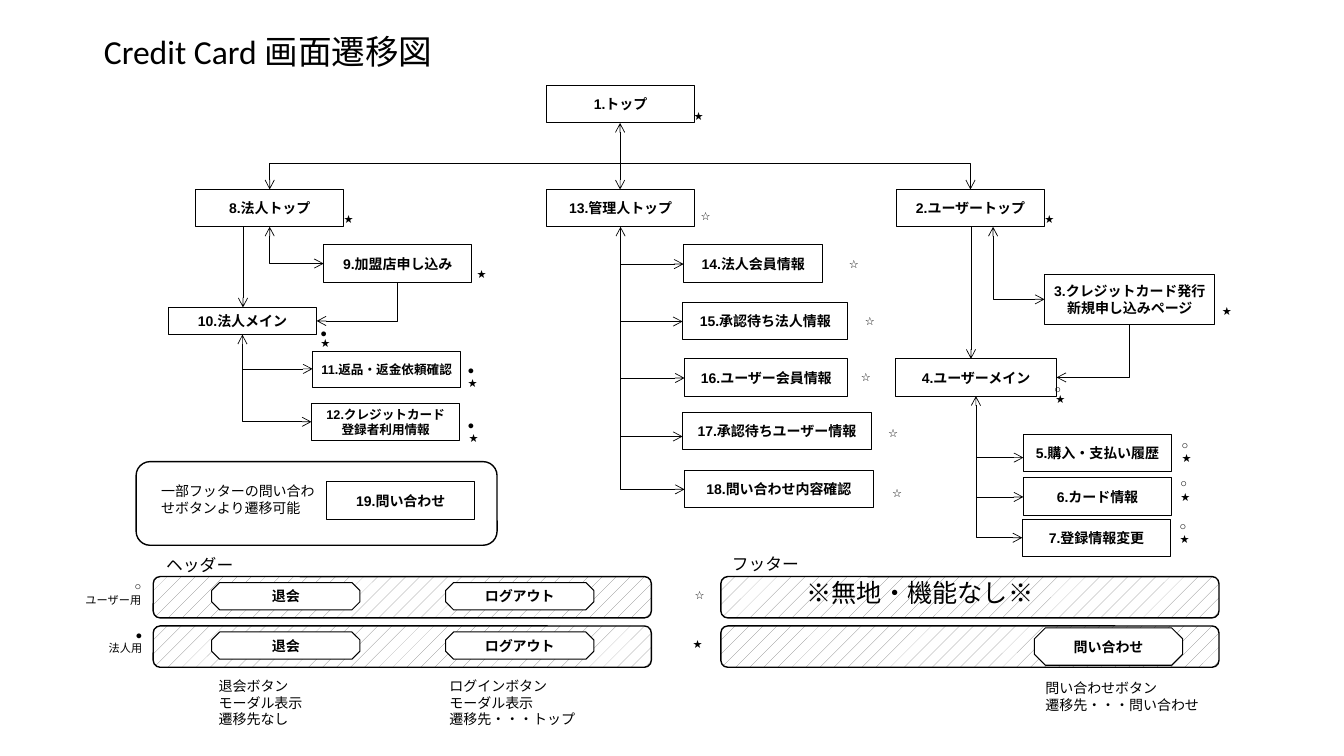
from lxml import etree
from pptx import Presentation
from pptx.dml.color import RGBColor
from pptx.enum.dml import MSO_PATTERN
from pptx.enum.shapes import MSO_CONNECTOR as LINK, MSO_SHAPE as SHAPE
from pptx.enum.text import MSO_ANCHOR as ANCHOR, MSO_AUTO_SIZE as AUTO, PP_ALIGN as ALIGN
from pptx.oxml.ns import qn
from pptx.util import Inches, Pt

BLACK = RGBColor(0x00, 0x00, 0x00)
WHITE = RGBColor(0xFF, 0xFF, 0xFF)
GRAY = RGBColor(0x80, 0x80, 0x80)

TITLE = "Credit Card 画面遷移図"
BOX_W, BOX_H = 1.47, 0.37
SCREENS = {
    1: (5.42, 0.85, BOX_W, BOX_H, 10, ["トップ"]),
    2: (8.89, 1.88, BOX_W, BOX_H, 10, ["ユーザートップ"]),
    3: (10.36, 2.72, 1.69, 0.5, 10, ["クレジットカード発行", "新規申し込みページ"]),
    4: (8.88, 3.56, 1.6, BOX_H, 10, ["ユーザーメイン"]),
    5: (10.15, 4.31, BOX_W, BOX_H, 10, ["購入・支払い履歴"]),
    6: (10.15, 4.74, BOX_W, BOX_H, 10, ["カード情報"]),
    7: (10.14, 5.15, BOX_W, BOX_H, 10, ["登録情報変更"]),
    8: (1.94, 1.88, BOX_W, BOX_H, 10, ["法人トップ"]),
    9: (3.21, 2.43, BOX_W, BOX_H, 10, ["加盟店申し込み"]),
    10: (1.67, 3.05, BOX_W, 0.27, 10, ["法人メイン"]),
    11: (3.1, 3.49, BOX_W, 0.35, 9, ["返品・返金依頼確認"]),
    12: (3.09, 4, BOX_W, BOX_H, 9, ["クレジットカード", "登録者利用情報"]),
    13: (5.42, 1.88, BOX_W, BOX_H, 10, ["管理人トップ"]),
    14: (6.78, 2.43, 1.38, BOX_H, 10, ["法人会員情報"]),
    15: (6.77, 3, 1.64, BOX_H, 10, ["承認待ち法人情報"]),
    16: (6.79, 3.56, 1.62, BOX_H, 10, ["ユーザー会員情報"]),
    17: (6.77, 4.09, 1.87, BOX_H, 10, ["承認待ちユーザー情報"]),
    18: (6.79, 4.67, 1.87, BOX_H, 10, ["問い合わせ内容確認"]),
    19: (3.24, 4.78, BOX_W, BOX_H, 10, ["問い合わせ"]),
}
TOP, LEFT, BOTTOM, RIGHT = range(4)
JUNCTION = (6.15, 1.62)
ELBOWS = [
    (JUNCTION, (8, TOP), False, True),
    (JUNCTION, (2, TOP), False, True),
    ((9, LEFT), (8, BOTTOM), True, True),
    ((10, RIGHT), (9, BOTTOM), True, False),
    ((12, LEFT), (10, BOTTOM), True, True),
    ((18, LEFT), (13, BOTTOM), True, True),
    ((3, LEFT), (9.85, 2.25), True, True),
    ((4, RIGHT), (3, BOTTOM), True, False),
    ((7, LEFT), (4, BOTTOM), True, True),
]
BRANCHES = [(13, 14, 2.62), (13, 15, 3.19), (13, 16, 3.75), (13, 17, 4.33),
            (10, 11, 3.66), (4, 5, 4.54), (4, 6, 4.93)]
DESCENTS = [(1, 13, 6.15, True), (2, 4, 9.63, False), (8, 10, 2.41, False)]

MARKS = {
    "★": [(6.78, 1.04), (3.31, 2.06), (10.26, 2.06), (4.63, 2.6), (12.02, 2.97),
          (3.08, 3.29), (4.54, 3.68), (4.55, 4.23), (10.37, 3.84), (11.62, 4.43),
          (11.61, 4.82), (11.6, 5.23), (6.77, 6.27)],
    "☆": [(6.85, 2.03), (8.32, 2.5), (8.48, 3.07), (8.44, 3.62), (8.71, 4.18),
          (8.75, 4.78), (6.79, 5.79)],
    "●": [(3.08, 3.19), (4.54, 3.56), (4.54, 4.1)],
    "○": [(10.36, 3.74), (11.62, 4.3), (11.61, 4.68), (11.6, 5.1)],
}
NOTES = [
    (1.55, 5.45, 4.84, 0.31, 12, "Arial", ALIGN.LEFT, ["ヘッダー"]),
    (7.16, 5.44, 2.01, 0.31, 12, "Arial", ALIGN.LEFT, ["フッター"]),
    (0.51, 5.7, 0.99, 0.38, 8, "Arial", ALIGN.RIGHT, ["○", "ユーザー用"]),
    (0.8, 6.18, 0.71, 0.38, 8, "Arial", ALIGN.RIGHT, ["●", "法人用"]),
    (1.5, 4.74, 1.8, 0.43, 10, "Calibri", ALIGN.LEFT, ["一部フッターの問い合わせボタンより遷移可能"]),
    (7.9, 5.68, 3.52, 0.42, 18, "Noto Sans CJK JP", ALIGN.LEFT, ["※無地・機能なし※"]),
    (2.07, 6.67, 2.95, 0.63, 10, "Arial", ALIGN.LEFT, ["退会ボタン", "モーダル表示", "遷移先なし"]),
    (4.36, 6.67, 1.93, 0.63, 10, "Arial", ALIGN.LEFT, ["ログインボタン", "モーダル表示", "遷移先・・・トップ"]),
    (10.27, 6.69, 2.41, 0.45, 10, "Arial", ALIGN.LEFT, ["問い合わせボタン", "遷移先・・・問い合わせ"]),
]
CONTACT_FRAME = (1.35, 4.58, 3.58, 0.83)
BAR_LEFTS, BAR_TOPS, BAR_W, BAR_H = (1.52, 7.15), (5.72, 6.21), 4.94, 0.41
HEADER_BUTTONS = [("退会", 2.1), ("ログアウト", 4.42)]
FOOTER_BUTTON = ("問い合わせ", 10.26, 6.23)

deck = Presentation()
deck.slide_width, deck.slide_height = Inches(13.33), Inches(7.5)
slide = deck.slides.add_slide(deck.slide_layouts[5])
shapes = slide.shapes


def write(frame, lines, size, font, align, bold=False):
    for i, line in enumerate(lines):
        paragraph = frame.paragraphs[0] if i == 0 else frame.add_paragraph()
        paragraph.alignment = align
        run = paragraph.add_run()
        run.text = line
        run.font.size, run.font.name, run.font.bold = Pt(size), font, bold
        run.font.color.rgb = BLACK


def add_outline(kind, area, width):
    outline = shapes.add_shape(kind, *map(Inches, area))
    outline.shadow.inherit = False
    outline.line.color.rgb = BLACK
    outline.line.width = Pt(width)
    return outline


def add_label_box(kind, area, size, lines):
    box = add_outline(kind, area, 0.75)
    box.fill.solid()
    box.fill.fore_color.rgb = WHITE
    frame = box.text_frame
    frame.word_wrap = False
    frame.vertical_anchor = ANCHOR.MIDDLE
    write(frame, lines, size, "Arial", ALIGN.CENTER, True)
    return box


def add_note(left, top, width, height, size, font, align, lines):
    frame = shapes.add_textbox(*map(Inches, (left, top, width, height))).text_frame
    frame.word_wrap = True
    write(frame, lines, size, font, align)


def add_link(kind, begin, end, arrow_begin, arrow_end):
    link = shapes.add_connector(kind, *map(Inches, begin + end))
    link.line.color.rgb = BLACK
    link.line.width = Pt(0.5)
    line = link.line._get_or_add_ln()
    for tag, shown in (("a:headEnd", arrow_begin), ("a:tailEnd", arrow_end)):
        if shown:
            etree.SubElement(line, qn(tag), type="arrow")
    etree.SubElement(link._element.spPr, qn("a:effectLst"))
    return link


def add_elbow(begin, end, arrow_begin, arrow_end):
    spots = [side_point(*at) if at[0] in SCREENS else at for at in (begin, end)]
    link = add_link(LINK.ELBOW, *spots, arrow_begin, arrow_end)
    link._element.spPr.find(qn("a:prstGeom")).set("prst", "bentConnector2")
    for at, attach in ((begin, link.begin_connect), (end, link.end_connect)):
        if at[0] in SCREENS:
            attach(screen_boxes[at[0]], at[1])


def side_point(number, side):
    left, top, width, height = SCREENS[number][:4]
    return {TOP: (left + width / 2, top), LEFT: (left, top + height / 2),
            BOTTOM: (left + width / 2, top + height),
            RIGHT: (left + width, top + height / 2)}[side]


title = shapes.title
title.left, title.top, title.width, title.height = map(Inches, (0.93, 0.26, 7.06, 0.5))
title.text_frame.auto_size = AUTO.NONE
title.text_frame.vertical_anchor = ANCHOR.TOP
write(title.text_frame, [TITLE], 24, "Calibri", ALIGN.LEFT)

add_outline(SHAPE.ROUNDED_RECTANGLE, CONTACT_FRAME, 1).fill.background()
screen_boxes = {}
for number, (left, top, width, height, size, (first, *rest)) in SCREENS.items():
    screen_boxes[number] = add_label_box(
        SHAPE.RECTANGLE, (left, top, width, height), size, [f"{number}.{first}", *rest])

for bar_top in BAR_TOPS:
    for bar_left in BAR_LEFTS:
        bar = add_outline(SHAPE.ROUNDED_RECTANGLE, (bar_left, bar_top, BAR_W, BAR_H), 1)
        bar.fill.patterned()
        bar.fill.pattern = MSO_PATTERN.PERCENT_5
        bar.fill.fore_color.rgb, bar.fill.back_color.rgb = GRAY, WHITE
    for caption, left in HEADER_BUTTONS:
        add_label_box(SHAPE.OCTAGON, (left, bar_top + 0.06, BOX_W, 0.27), 10, [caption])
caption, left, top = FOOTER_BUTTON
add_label_box(SHAPE.OCTAGON, (left, top, BOX_W, BOX_H), 10, [caption])

for mark, places in MARKS.items():
    for left, top in places:
        add_note(left, top, 0.42, 0.24, 8, "Arial", ALIGN.LEFT, [mark])
for note in NOTES:
    add_note(*note)

for elbow in ELBOWS:
    add_elbow(*elbow)
for parent, child, y in BRANCHES:
    trunk_x = side_point(parent, BOTTOM)[0]
    add_link(LINK.STRAIGHT, (trunk_x, y), (SCREENS[child][0], y), False, True)
for upper, lower, x, both in DESCENTS:
    start, finish = side_point(upper, BOTTOM)[1], SCREENS[lower][1]
    add_link(LINK.STRAIGHT, (x, start), (x, finish), both, True)

deck.save("out.pptx")
